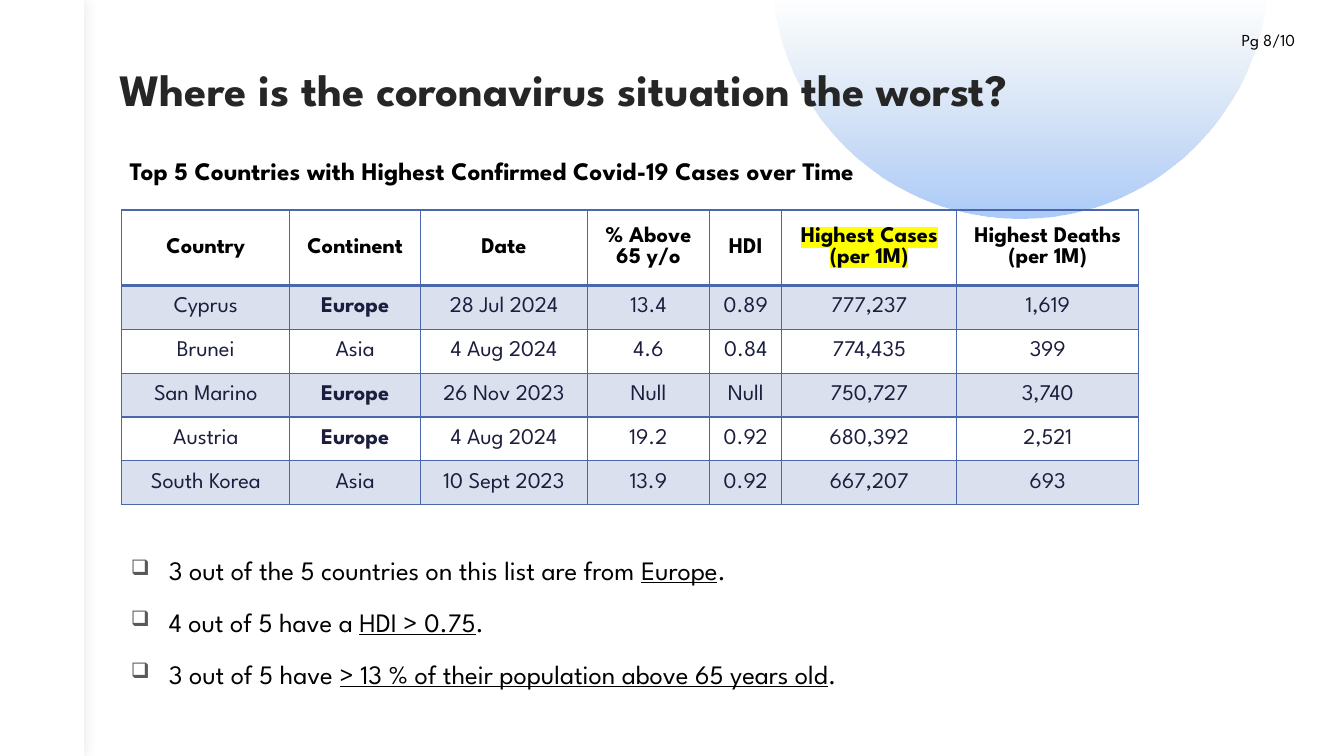
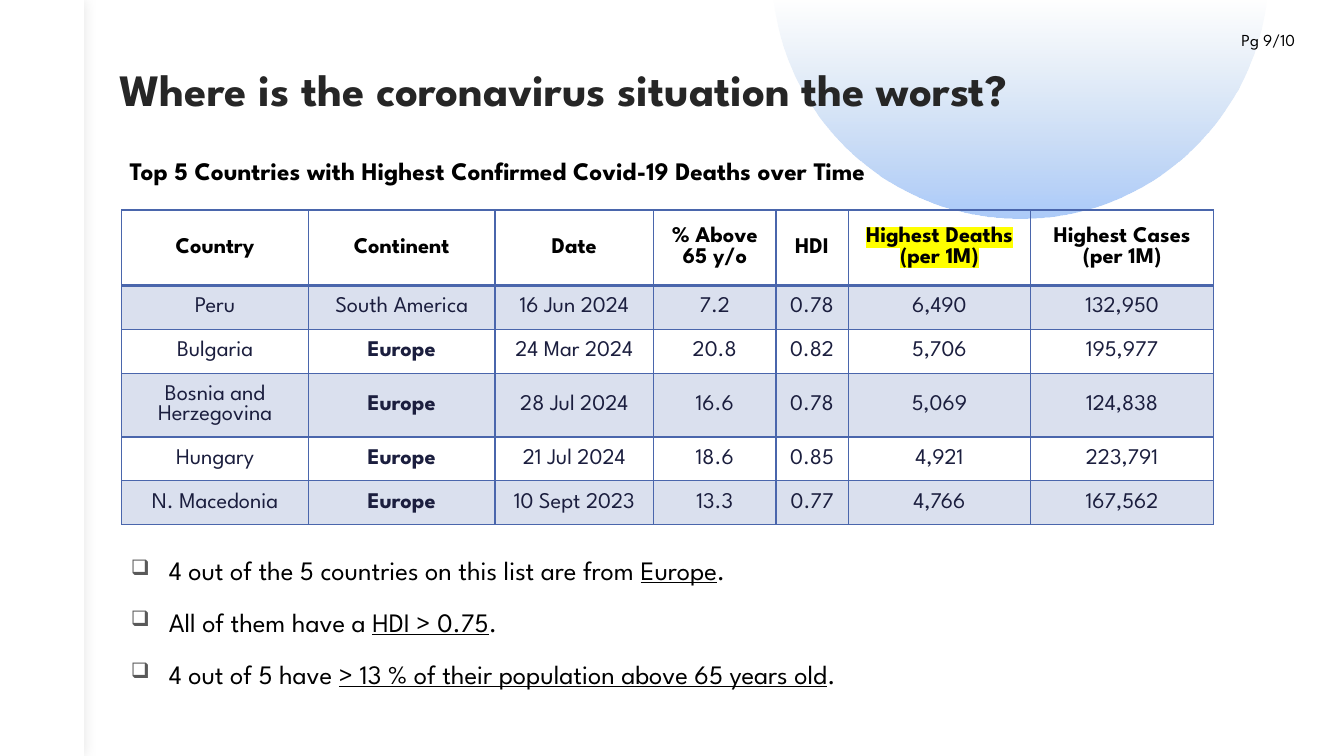
from math import asin, cos, pi, sin

from lxml.etree import SubElement
from pptx import Presentation
from pptx.dml.color import RGBColor
from pptx.enum.shapes import MSO_SHAPE
from pptx.enum.text import MSO_ANCHOR, PP_ALIGN
from pptx.oxml.ns import qn
from pptx.util import Pt

FONT = "League Spartan"
BLACK, WHITE, TITLE_GRAY, BULLET_GRAY = "000000", "FFFFFF", "262626", "595959"
BLUE, NAVY, YELLOW = "4A66AC", "1B1E3E", "FFFF00"
ARC_TOP, ARC_BOTTOM = "B4CCE7", "ACCBF9"

TITLE = "Where is the coronavirus situation the worst?"
COLUMNS = ["Country", "Continent", "Date", "% Above 65 y/o", "HDI"]
CASES, DEATHS = "Highest Cases (per 1M)", "Highest Deaths (per 1M)"
HIGHLIGHTED_COLUMN = 5
EMPHASIZED = "Europe"
HEADER_HEIGHT, ROW_HEIGHT = 54, 31.3

PAGES = [
    {
        "number": "Pg 8/10",
        "subtitle": "Top 5 Countries with Highest Confirmed Covid-19 Cases over Time",
        "widths": [120, 93.5, 119, 87.5, 51.5, 125, 130],
        "rows": [
            COLUMNS + [CASES, DEATHS],
            ["Cyprus", "Europe", "28 Jul 2024", "13.4", "0.89", "777,237", "1,619"],
            ["Brunei", "Asia", "4 Aug 2024", "4.6", "0.84", "774,435", "399"],
            ["San Marino", "Europe", "26 Nov 2023", "Null", "Null", "750,727", "3,740"],
            ["Austria", "Europe", "4 Aug 2024", "19.2", "0.92", "680,392", "2,521"],
            ["South Korea", "Asia", "10 Sept 2023", "13.9", "0.92", "667,207", "693"],
        ],
        "findings": [
            ("3 out of the 5 countries on this list are from ", "Europe"),
            ("4 out of 5 have a ", "HDI > 0.75"),
            ("3 out of 5 have ", "> 13 % of their population above 65 years old"),
        ],
    },
    {
        "number": "Pg 9/10",
        "subtitle": "Top 5 Countries with Highest Confirmed Covid-19 Deaths over Time",
        "widths": [133.3, 133.3, 113.3, 87.5, 51.5, 130.5, 130.5],
        "rows": [
            COLUMNS + [DEATHS, CASES],
            ["Peru", "South America", "16 Jun 2024", "7.2", "0.78", "6,490", "132,950"],
            ["Bulgaria", "Europe", "24 Mar 2024", "20.8", "0.82", "5,706", "195,977"],
            ["Bosnia and Herzegovina", "Europe", "28 Jul 2024", "16.6", "0.78", "5,069", "124,838"],
            ["Hungary", "Europe", "21 Jul 2024", "18.6", "0.85", "4,921", "223,791"],
            ["N. Macedonia", "Europe", "10 Sept 2023", "13.3", "0.77", "4,766", "167,562"],
        ],
        "findings": [
            ("4 out of the 5 countries on this list are from ", "Europe"),
            ("All of them have a ", "HDI > 0.75"),
            ("4 out of 5 have ", "> 13 % of their population above 65 years old"),
        ],
    },
]


def color(value):
    return RGBColor.from_string(value)


def set_alpha(color_element, percent):
    SubElement(color_element, qn("a:alpha"), val=str(percent * 1000))


def add_text(paragraph, text, size, ink=BLACK, bold=False, underline=False, highlight=None):
    run = paragraph.add_run()
    run.text = text
    font = run.font
    font.name, font.size = FONT, Pt(size)
    font.bold, font.underline = bold, underline
    font.color.rgb = color(ink)
    if highlight:
        properties = run._r.get_or_add_rPr()
        marker = SubElement(properties, qn("a:highlight"))
        SubElement(marker, qn("a:srgbClr"), val=highlight)
        properties.find(qn("a:solidFill")).addnext(marker)


def add_box(slide, left, top, width, height, anchor=MSO_ANCHOR.TOP):
    box = slide.shapes.add_textbox(Pt(left), Pt(top), Pt(width), Pt(height))
    box.text_frame.word_wrap = True
    box.text_frame.vertical_anchor = anchor
    return box.text_frame


def set_indent(paragraph, margin, indent=0):
    properties = paragraph._p.get_or_add_pPr()
    properties.set("marL", str(Pt(margin)))
    properties.set("indent", str(Pt(indent)))
    return properties


def add_arc(slide):
    center_x, center_y, radius, steps = 728.6, -20.9, 177.1, 90
    start = asin(-center_y / radius)
    angles = [start + (pi - 2 * start) * step / steps for step in range(steps + 1)]
    points = [
        (Pt(center_x + radius * cos(angle)), Pt(center_y + radius * sin(angle)))
        for angle in angles
    ]
    builder = slide.shapes.build_freeform(*points[0], scale=1.0)
    builder.add_line_segments(points[1:], close=True)
    shape = builder.convert_to_shape()
    shape.shadow.inherit = False
    shape.line.fill.background()
    shape.fill.gradient()
    shape.fill.gradient_angle = 270
    for stop, position, value in zip(shape.fill.gradient_stops, (0, 1), (ARC_TOP, ARC_BOTTOM)):
        stop.position = position
        stop.color.rgb = color(value)
    set_alpha(next(shape._element.spPr.iter(qn("a:srgbClr"))), 0)


def add_side_band(slide):
    band = slide.shapes.add_shape(MSO_SHAPE.RECTANGLE, 0, 0, Pt(60), Pt(540))
    band.fill.solid()
    band.fill.fore_color.rgb = color(WHITE)
    band.line.fill.background()
    band.shadow.inherit = False
    effects = band._element.spPr.find(qn("a:effectLst"))
    shadow = SubElement(effects, qn("a:outerShdw"), blurRad=str(Pt(10)), dist="0", dir="0")
    set_alpha(SubElement(shadow, qn("a:srgbClr"), val=BLACK), 10)


def add_frame(slide, number):
    add_arc(slide)
    add_side_band(slide)
    paragraph = add_box(slide, 870, 18, 72, 21.6, MSO_ANCHOR.MIDDLE).paragraphs[0]
    paragraph.alignment = PP_ALIGN.CENTER
    add_text(paragraph, number, size=12)
    paragraph = add_box(slide, 78, 48, 756, 114).paragraphs[0]
    paragraph.line_spacing = 0.8
    add_text(paragraph, TITLE, size=32, ink=TITLE_GRAY, bold=True)


def set_borders(cell, top, bottom):
    properties = cell._tc.get_or_add_tcPr()
    widths = {"a:lnL": 1, "a:lnR": 1, "a:lnT": top, "a:lnB": bottom}
    for position, (tag, width) in enumerate(widths.items()):
        line = SubElement(properties, qn(tag), w=str(Pt(width)))
        fill = SubElement(line, qn("a:solidFill"))
        SubElement(fill, qn("a:srgbClr"), val=BLUE)
        properties.insert(position, line)


def format_cell(cell, text, row, column):
    header = row == 0
    if row % 2:
        cell.fill.solid()
        cell.fill.fore_color.rgb = color(BLUE)
        set_alpha(next(cell._tc.tcPr.iter(qn("a:srgbClr"))), 20)
    else:
        cell.fill.background()
    set_borders(cell, top=2 if row == 1 else 1, bottom=2 if header else 1)
    cell.vertical_anchor = MSO_ANCHOR.MIDDLE
    paragraph = cell.text_frame.paragraphs[0]
    paragraph.alignment = PP_ALIGN.CENTER
    add_text(
        paragraph,
        text,
        size=16,
        ink=BLACK if header else NAVY,
        bold=header or text == EMPHASIZED,
        highlight=YELLOW if header and column == HIGHLIGHTED_COLUMN else None,
    )


def add_country_table(slide, rows, widths):
    height = HEADER_HEIGHT + ROW_HEIGHT * (len(rows) - 1)
    table = slide.shapes.add_table(
        len(rows), len(widths), Pt(87), Pt(150), Pt(sum(widths)), Pt(height)
    ).table
    table.first_row = table.horz_banding = False
    for column, width in zip(table.columns, widths):
        column.width = Pt(width)
    for row, texts in enumerate(rows):
        table.rows[row].height = Pt(ROW_HEIGHT if row else HEADER_HEIGHT)
        for column, text in enumerate(texts):
            format_cell(table.cell(row, column), text, row, column)


def add_findings(slide, findings):
    frame = add_box(slide, 83.5, 390, 832, 120)
    for index, (lead, key) in enumerate(findings):
        paragraph = frame.add_paragraph() if index else frame.paragraphs[0]
        paragraph.line_spacing = 1.1
        paragraph.space_before = Pt(12)
        properties = set_indent(paragraph, 30, -27)
        bullet_color = SubElement(properties, qn("a:buClr"))
        SubElement(bullet_color, qn("a:srgbClr"), val=BULLET_GRAY)
        SubElement(properties, qn("a:buSzPct"), val="80000")
        SubElement(properties, qn("a:buChar"), char="❑")
        for text, underline in ((lead, False), (key, True), (".", False)):
            add_text(paragraph, text, size=19, underline=underline)


def add_subtitle(slide, text):
    paragraph = add_box(slide, 82, 105, 776, 29.5).paragraphs[0]
    paragraph.line_spacing = 1.1
    paragraph.space_before = Pt(6)
    set_indent(paragraph, 3.6)
    add_text(paragraph, text, size=18, bold=True)


def main():
    presentation = Presentation()
    presentation.slide_width, presentation.slide_height = Pt(960), Pt(540)
    for page in PAGES:
        slide = presentation.slides.add_slide(presentation.slide_layouts[6])
        add_frame(slide, page["number"])
        add_country_table(slide, page["rows"], page["widths"])
        add_findings(slide, page["findings"])
        add_subtitle(slide, page["subtitle"])
    presentation.save("out.pptx")


if __name__ == "__main__":
    main()
